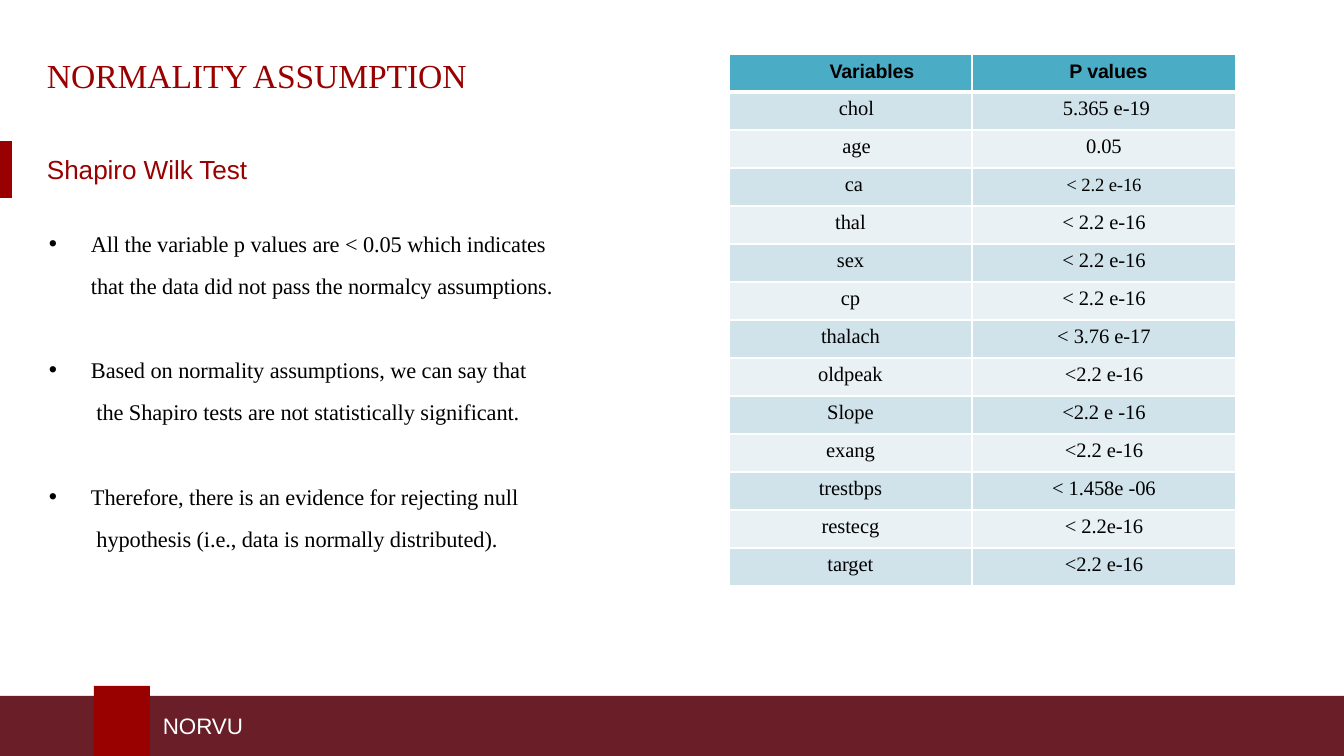
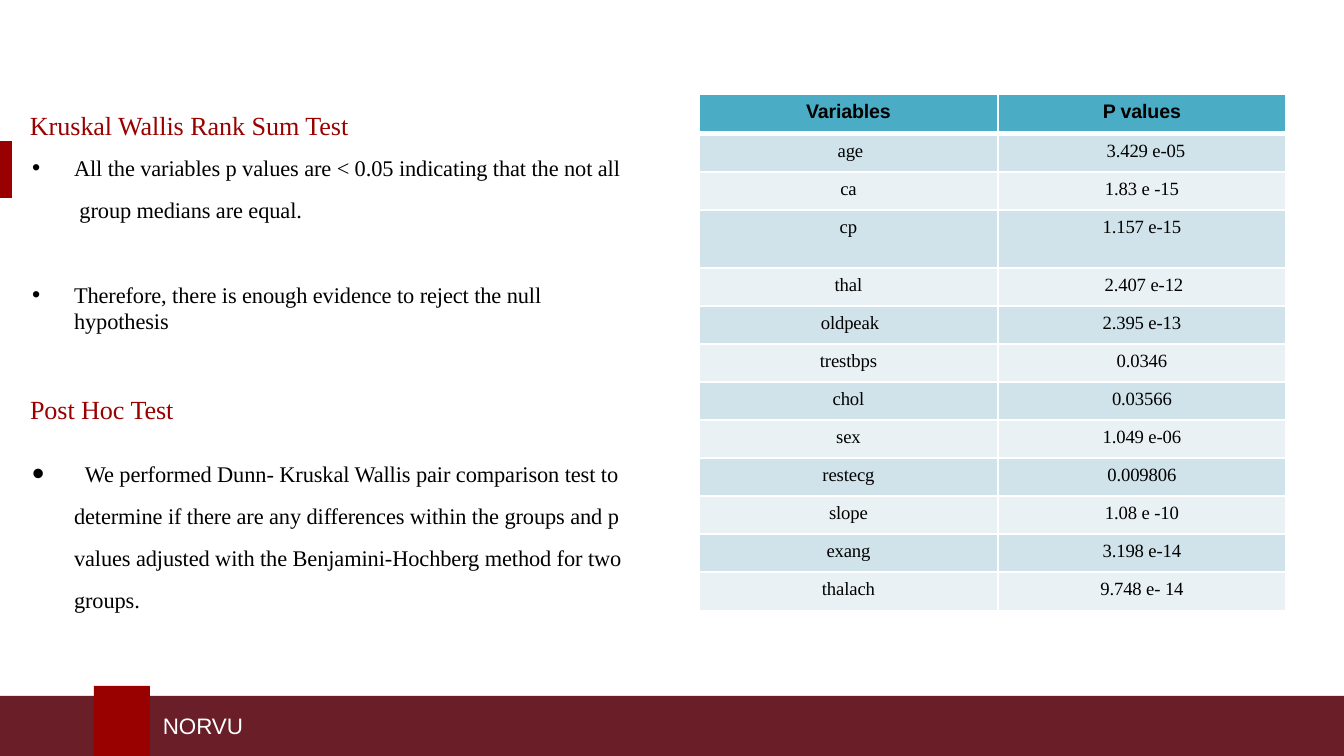
import copy

import pptx
import pptx.dml.color
import pptx.enum.shapes
import pptx.enum.text
import pptx.oxml
import pptx.oxml.ns
import pptx.util
import lxml.etree

PX = 914400 / 134.4
COLORS = {
    "crimson": "990000",
    "maroon": "691E28",
    "white": "FFFFFF",
    "black": "000000",
    "header": "4BACC6",
    "odd": "D0E3EA",
    "even": "E9F1F5",
}
SERIF = "Times New Roman"
SANS = "Arial"
BULLET_INDENT = 44
BULLET_HANG = 42
BULLET_SPACING = 1.56
qn = pptx.oxml.ns.qn


def px(length):
    return pptx.util.Emu(round(length * PX))


def write(frame, text, size=12, font=SERIF, color="black", bold=False, before=0,
          spacing=None, center=False, indent=0, bullet=None, tab=None):
    para = frame.paragraphs[0]
    if para.runs:
        para = frame.add_paragraph()
    para.text = text
    para.space_before = pptx.util.Pt(before)
    if spacing:
        para.line_spacing = spacing
    if center:
        para.alignment = pptx.enum.text.PP_ALIGN.CENTER
    props = para._p.get_or_add_pPr()
    props.set("marL", str(px(indent)))
    if bullet:
        props.set("indent", str(px(-BULLET_HANG)))
        lxml.etree.SubElement(props, qn("a:buSzPct"), val=str(bullet * 1000))
        lxml.etree.SubElement(props, qn("a:buFont"), typeface=SANS)
        lxml.etree.SubElement(props, qn("a:buChar"), char="•")
    if tab:
        stops = lxml.etree.SubElement(props, qn("a:tabLst"))
        lxml.etree.SubElement(stops, qn("a:tab"), pos=str(px(tab)), algn="l")
    for span in para.runs:
        span.font.size = pptx.util.Pt(size)
        span.font.name = font
        span.font.bold = bold
        span.font.color.rgb = pptx.dml.color.RGBColor.from_string(COLORS[color])
        span._r.get_or_add_rPr().set("spc", "-5")
    for line_break in para._p.findall(qn("a:br")):
        line_break.append(copy.deepcopy(para.runs[0]._r.rPr))


bands = [
    (0, 141, 12, 57, "crimson"),
    (0, 696, 94, 60, "maroon"),
    (150, 696, 1194, 60, "maroon"),
    (94, 686, 56, 70, "crimson"),
]
footer = (163, 712, 100, 28, [("NORVU", dict(font=SANS, color="white", spacing=pptx.util.Pt(14.2)))])

heading = dict(size=14, color="crimson")
point = dict(indent=BULLET_INDENT, bullet=104, spacing=BULLET_SPACING)

slides = [
    {
        "boxes": [
            (47, 54, 460, 44, [("NORMALITY ASSUMPTION", dict(size=18, color="crimson", before=1))]),
            (47, 152, 512, 387, [
                ("Shapiro Wilk Test", dict(heading, font=SANS, before=1)),
                ("All the variable p values are < 0.05 which indicates\vthat the data did not pass "
                 "the normalcy assumptions.", dict(point, before=16.3)),
                ("Based on normality assumptions, we can say that\v the Shapiro tests are not "
                 "statistically significant.", dict(point, before=22.9)),
                ("Therefore, there is an evidence for rejecting null\v hypothesis (i.e., data is "
                 "normally distributed).", dict(point, before=22.9)),
            ]),
        ],
        "origin": (729, 54),
        "columns": (243, 264),
        "heights": [38] * 14,
        "size": 11,
        "top": 5,
        "small": [(3, 1)],
        "indents": {(0, 0): 43, (0, 1): 9, (1, 0): 12, (2, 0): 12, (3, 0): 7, (1, 1): 5},
        "rows": [
            ("chol", "5.365 e-19"), ("age", "0.05"), ("ca", "< 2.2 e-16"),
            ("thal", "< 2.2 e-16"), ("sex", "< 2.2 e-16"), ("cp", "< 2.2 e-16"),
            ("thalach", "< 3.76 e-17"), ("oldpeak", "<2.2 e-16"), ("Slope", "<2.2 e -16"),
            ("exang", "<2.2 e-16"), ("trestbps", "< 1.458e -06"), ("restecg", "< 2.2e-16"),
            ("target", "<2.2 e-16"),
        ],
    },
    {
        "boxes": [
            (30, 108, 400, 35, [("Kruskal Wallis Rank Sum Test", dict(heading, before=1))]),
            (30, 138, 620, 414, [
                ("All the variables p values are < 0.05 indicating that the not all\v group medians "
                 "are equal.", dict(point, before=1)),
                ("Therefore, there is enough evidence to reject the null\vhypothesis",
                 dict(point, spacing=1.0, before=31)),
                ("Post Hoc Test", dict(heading, before=31.4)),
                ("\tWe performed Dunn- Kruskal Wallis pair comparison test to determine if there "
                 "are any differences within the groups and p values adjusted with the "
                 "Benjamini-Hochberg method for two groups.",
                 dict(point, bullet=156, before=11, tab=55)),
            ]),
        ],
        "origin": (699, 94),
        "columns": (299, 288),
        "heights": [40, 38, 38, 58] + [38] * 8 + [39],
        "size": 10,
        "top": 7,
        "small": [],
        "indents": {(1, 0): 4, (1, 1): 8, (4, 1): 4, (5, 0): 3},
        "rows": [
            ("age", "3.429 e-05"), ("ca", "1.83 e -15"), ("cp", "1.157 e-15"),
            ("thal", "2.407 e-12"), ("oldpeak", "2.395 e-13"), ("trestbps", "0.0346"),
            ("chol", "0.03566"), ("sex", "1.049 e-06"), ("restecg", "0.009806"),
            ("slope", "1.08 e -10"), ("exang", "3.198 e-14"), ("thalach", "9.748 e- 14"),
        ],
    },
]

deck = pptx.Presentation()
deck.slide_width = px(1344)
deck.slide_height = px(756)

for content in slides:
    page = deck.slides.add_slide(deck.slide_layouts[6])

    for left, top, width, height, color in bands:
        band = page.shapes.add_shape(pptx.enum.shapes.MSO_SHAPE.RECTANGLE,
                                     px(left), px(top), px(width), px(height))
        band.shadow.inherit = False
        band.fill.solid()
        band.fill.fore_color.rgb = pptx.dml.color.RGBColor.from_string(COLORS[color])
        band.line.fill.background()

    rows = [("Variables", "P values")] + content["rows"]
    table = page.shapes.add_table(len(rows), 2, *map(px, content["origin"]),
                                  px(sum(content["columns"])), px(sum(content["heights"]))).table
    for column, width in zip(table.columns, content["columns"]):
        column.width = px(width)
    for r, (row, height) in enumerate(zip(rows, content["heights"])):
        table.rows[r].height = px(height)
        for c, text in enumerate(row):
            cell = table.cell(r, c)
            small = (r, c) in content["small"]
            cell.margin_left = cell.margin_right = cell.margin_bottom = 0
            cell.margin_top = px(7 if r == 0 or small else content["top"])
            style = dict(size=10 if small else content["size"])
            if r == 0:
                style = dict(size=10.5, font=SANS, bold=True)
            write(cell.text_frame, text, center=True, before=3.2,
                  indent=content["indents"].get((r, c), 0), **style)
            for side in "LRTB":
                thick = (r, side) in [(0, "B"), (1, "T")]
                edge = lxml.etree.SubElement(cell._tc.get_or_add_tcPr(), qn("a:ln" + side),
                                             w=str(pptx.util.Pt(3 if thick else 1)))
                paint = lxml.etree.SubElement(edge, qn("a:solidFill"))
                lxml.etree.SubElement(paint, qn("a:srgbClr"), val=COLORS["white"])
            shade = "header" if r == 0 else "odd" if r % 2 else "even"
            cell.fill.solid()
            cell.fill.fore_color.rgb = pptx.dml.color.RGBColor.from_string(COLORS[shade])

    for left, top, width, height, lines in [footer] + content["boxes"]:
        box = page.shapes.add_textbox(px(left), px(top), px(width), px(height))
        frame = box.text_frame
        frame.word_wrap = True
        frame.margin_left = frame.margin_right = frame.margin_bottom = 0
        frame.margin_top = px(1)
        for text, style in lines:
            write(frame, text, **style)

deck.save("out.pptx")
